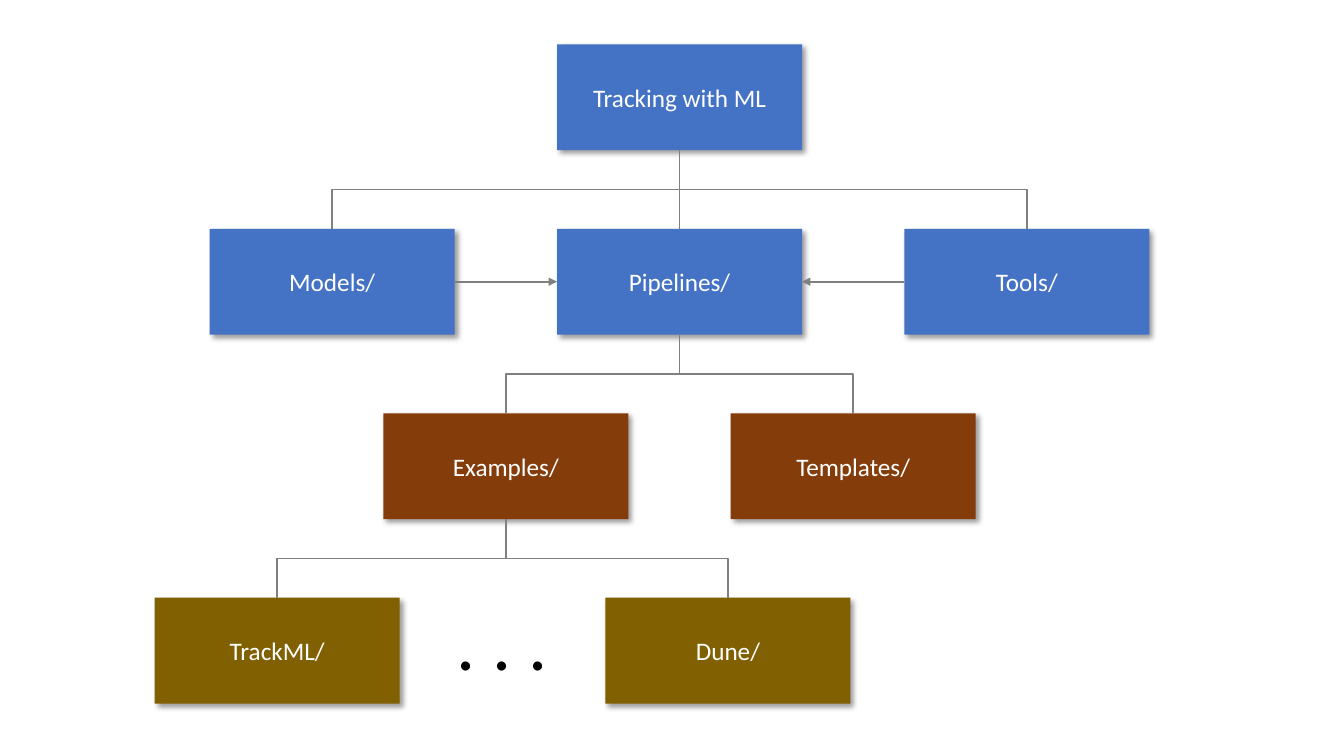
from lxml import etree
from pptx import Presentation
from pptx.dml.color import RGBColor
from pptx.enum.shapes import MSO_CONNECTOR, MSO_SHAPE
from pptx.enum.text import MSO_ANCHOR, PP_ALIGN
from pptx.oxml import parse_xml
from pptx.oxml.ns import nsdecls, qn
from pptx.util import Inches, Pt

RECT = MSO_SHAPE.RECTANGLE
STRAIGHT, ELBOW = MSO_CONNECTOR.STRAIGHT, MSO_CONNECTOR.ELBOW
CENTER, MIDDLE = PP_ALIGN.CENTER, MSO_ANCHOR.MIDDLE
TOP, LEFT, BOTTOM, RIGHT = range(4)  # connection sites of a rectangle

BLUE = RGBColor(0x44, 0x72, 0xC4)
BROWN = RGBColor(0x84, 0x3C, 0x0B)
OLIVE = RGBColor(0x80, 0x60, 0x00)
GRAY = RGBColor(0x80, 0x80, 0x80)
WHITE = RGBColor(0xFF, 0xFF, 0xFF)
BLACK = RGBColor(0, 0, 0)
FONT = "Calibri"

# Each level: fill, then (label, centre x) of its boxes
MID, STEP = 6.74, 3.445
LEVELS = [
    (BLUE, [("Tracking with ML", MID)]),
    (BLUE, [("Models/", MID - STEP), ("Pipelines/", MID), ("Tools/", MID + STEP)]),
    (BROWN, [("Examples/", MID - STEP / 2), ("Templates/", MID + STEP / 2)]),
    (OLIVE, [("TrackML/", 2.75), ("Dune/", 7.22)]),
]
TREE = {
    "Tracking with ML": ["Models/", "Pipelines/", "Tools/"],
    "Pipelines/": ["Examples/", "Templates/"],
    "Examples/": ["TrackML/", "Dune/"],
}
ARROWS = [("Models/", RIGHT, "Pipelines/", LEFT), ("Tools/", LEFT, "Pipelines/", RIGHT)]
BOX_W, BOX_H, FIRST, PITCH = 2.43, 1.05, 0.44, 1.83

SHADOW = (
    f'<a:effectLst {nsdecls("a")}><a:outerShdw blurRad="{Pt(4)}" dist="{Pt(3)}" '
    'dir="2700000" algn="tl" rotWithShape="0"><a:srgbClr val="000000">'
    '<a:alpha val="40000"/></a:srgbClr></a:outerShdw></a:effectLst>'
)


def write(frame, text, size, color):
    """Put one centred line of text in a frame."""
    para = frame.paragraphs[0]
    para.text, para.alignment = text, CENTER
    para.font.name, para.font.size = FONT, Pt(size)
    para.font.color.rgb = color


def add_box(slide, text, mid, top, fill):
    """Draw a labelled folder box with a soft shadow."""
    box = slide.shapes.add_shape(
        RECT, Inches(mid - BOX_W / 2), Inches(top), Inches(BOX_W), Inches(BOX_H))
    box.fill.solid()
    box.fill.fore_color.rgb = fill
    box.line.fill.background()
    box._element.spPr.append(parse_xml(SHADOW))
    box.text_frame.vertical_anchor = MIDDLE
    write(box.text_frame, text, 18, WHITE)
    return box


def add_link(slide, kind, start, out, end, into):
    """Glue a gray connector between sites of two boxes."""
    link = slide.shapes.add_connector(kind, 0, 0, 0, 0)
    link.begin_connect(start, out)
    link.end_connect(end, into)
    link.line.color.rgb, link.line.width = GRAY, Pt(1.25)
    etree.SubElement(link._element.spPr, qn("a:effectLst"))
    return link


def add_branch(slide, parent, child):
    """Link a parent down to a child, bent where they are not aligned."""
    start, end = parent.left + parent.width // 2, child.left + child.width // 2
    kind = STRAIGHT if start == end else ELBOW
    link = add_link(slide, kind, parent, BOTTOM, child, TOP)
    if kind == STRAIGHT:
        return
    # A vertical bend is a quarter-turned elbow, so its sides are swapped
    high, low = parent.top + parent.height, child.top
    link.width, link.height = low - high, abs(end - start)
    link.left = (start + end - link.width) // 2
    link.top = (high + low - link.height) // 2
    xfrm = link._element.spPr.find(qn("a:xfrm"))
    xfrm.attrib.clear()
    xfrm.set("rot", "5400000" if end < start else "16200000")
    if end > start:
        xfrm.set("flipH", "1")


deck = Presentation()
deck.slide_width, deck.slide_height = Inches(13.33), Inches(7.5)
slide = deck.slides.add_slide(deck.slide_layouts[6])

boxes = {}
for row, (fill, items) in enumerate(LEVELS):
    for text, mid in items:
        boxes[text] = add_box(slide, text, mid, FIRST + row * PITCH, fill)

for parent, kids in TREE.items():
    for kid in kids:
        add_branch(slide, boxes[parent], boxes[kid])

for start, out, end, into in ARROWS:
    arrow = add_link(slide, STRAIGHT, boxes[start], out, boxes[end], into)
    etree.SubElement(arrow.line._get_or_add_ln(), qn("a:tailEnd"), type="triangle")

dots = slide.shapes.add_textbox(Inches(4.42), Inches(5.85), Inches(1.12), Inches(1.01))
dots.text_frame.word_wrap = False
write(dots.text_frame, ". . .", 54, BLACK)

deck.save("out.pptx")
